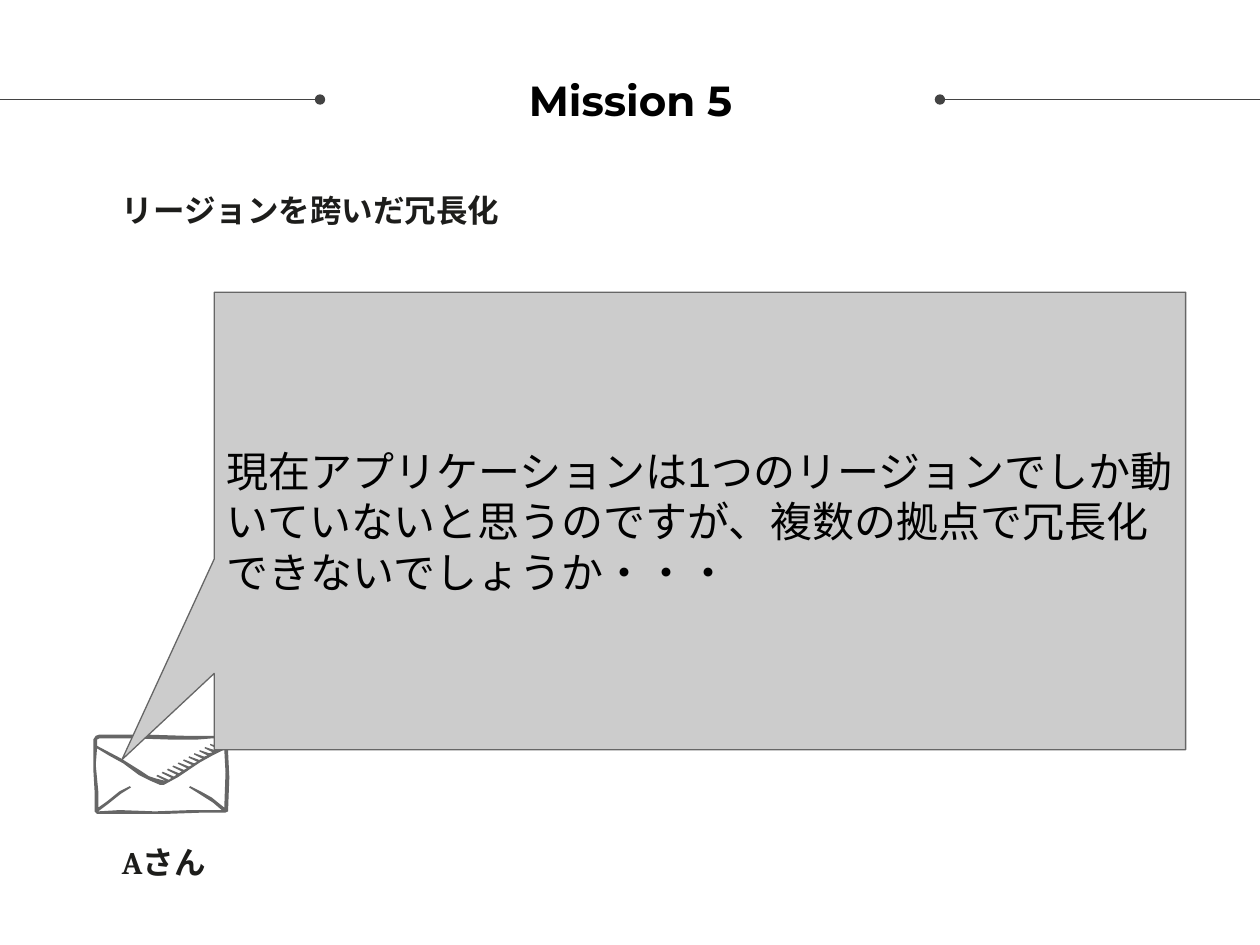
from lxml import etree
from pptx import Presentation
from pptx.dml.color import RGBColor
from pptx.enum.shapes import MSO_CONNECTOR, MSO_SHAPE
from pptx.enum.text import MSO_ANCHOR, PP_ALIGN
from pptx.oxml.ns import qn
from pptx.util import Inches, Pt

STRAIGHT = MSO_CONNECTOR.STRAIGHT
CALLOUT = MSO_SHAPE.ROUNDED_RECTANGULAR_CALLOUT
TOP, MIDDLE = MSO_ANCHOR.TOP, MSO_ANCHOR.MIDDLE
LEFT, CENTER = PP_ALIGN.LEFT, PP_ALIGN.CENTER

BLACK = RGBColor(0x00, 0x00, 0x00)
INK = RGBColor(0x1D, 0x1D, 0x1B)
RULE = RGBColor(0x43, 0x43, 0x43)
GRAY = RGBColor(0x66, 0x66, 0x66)
PALE = RGBColor(0xCC, 0xCC, 0xCC)

# Content
TITLE = "Mission 5"
SUBTITLE = "リージョンを跨いだ冗長化"
REQUEST = ("現在アプリケーションは1つのリージョンでしか動いていないと思うのですが、"
           "複数の拠点で冗長化できないでしょうか・・・")
SENDER = "Aさん"

TITLE_FONT = dict(name="Montserrat", size=Pt(24), bold=True)
LABEL_FONT = dict(name="Cambria", size=Pt(18), bold=True)
REQUEST_FONT = dict(name="Arial", size=Pt(24), bold=False)

TITLE_AT = (2.55, 0.17, 4.91, 1.25)
SUBTITLE_AT = (0.87, 1.42, 8.26, 0.77)
CALLOUT_AT = (1.7, 2.32, 7.71, 3.63)
SENDER_AT = (0.76, 6.59, 1.08, 0.77)
CALLOUT_TAIL = (-0.595, 0.522, 0)
RULE_Y = 0.79
RULES = [(2.54, 0), (7.46, 10)]  # dotted end, page edge

# Envelope contours: outer edge, then the white areas inside it
ENVELOPE_EDGE = [
    (0.79, 5.83), (1.14, 5.83), (1.46, 5.84), (1.79, 5.84), (1.82, 5.86),
    (1.81, 5.96), (1.82, 6.17), (1.81, 6.44), (1.79, 6.45), (1.61, 6.45),
    (1.32, 6.46), (0.97, 6.46), (0.77, 6.46), (0.75, 6.44), (0.75, 6.27),
    (0.74, 6.1), (0.74, 5.87), (0.76, 5.84)]
FLAP = [
    (1.24, 6.18), (1.18, 6.16), (1.12, 6.12), (0.96, 6.02), (0.77, 5.92),
    (0.77, 5.87), (0.79, 5.86), (1.04, 5.86), (1.34, 5.87), (1.57, 5.87),
    (1.69, 5.86), (1.79, 5.87)]
BODY = [
    (0.77, 5.94), (0.87, 6), (0.98, 6.06), (1.1, 6.15), (1.2, 6.2),
    (1.27, 6.23), (1.3, 6.23), (1.41, 6.17), (1.59, 6.05), (1.68, 6),
    (1.78, 5.95), (1.79, 6.13), (1.78, 6.41), (1.68, 6.33), (1.59, 6.28),
    (1.51, 6.24), (1.5, 6.25), (1.58, 6.3), (1.69, 6.37), (1.76, 6.43),
    (1.52, 6.43), (1.23, 6.44), (0.95, 6.43), (0.78, 6.44), (0.86, 6.38),
    (0.96, 6.3), (1.04, 6.25), (1.03, 6.24), (0.95, 6.28), (0.85, 6.36),
    (0.78, 6.41), (0.78, 6.28), (0.76, 6.07)]
HATCH_COUNT = 12
HATCH_STROKE = [  # first and last position of each corner of a stroke
    ((1.78, 5.9), (1.34, 6.19)), ((1.71, 5.88), (1.25, 6.15)),
    ((1.71, 5.89), (1.24, 6.16)), ((1.77, 5.92), (1.32, 6.2))]


def hatch_points():
    """Spread the hatch strokes evenly down the right side of the flap."""
    points = []
    for index in range(HATCH_COUNT):
        share = index / (HATCH_COUNT - 1)
        points += [(x1 + (x2 - x1) * share, y1 + (y2 - y1) * share)
                   for (x1, y1), (x2, y2) in HATCH_STROKE]
    return points


def place(box, at):
    box.left, box.top, box.width, box.height = map(Inches, at)


def write(box, text, font, color, align, anchor):
    frame = box.text_frame
    frame.word_wrap = True
    frame.vertical_anchor = anchor
    for side in ("left", "top", "right", "bottom"):
        setattr(frame, f"margin_{side}", Inches(0.1))
    para = frame.paragraphs[0]
    para.alignment = align
    span = para.add_run()
    span.text = text
    for key, value in font.items():
        setattr(span.font, key, value)
    span.font.color.rgb = color


def add_rule(page, dot_x, edge_x):
    rule = page.shapes.add_connector(
        STRAIGHT, Inches(dot_x), Inches(RULE_Y), Inches(edge_x), Inches(RULE_Y))
    rule.line.color.rgb = RULE
    rule.line.width = Pt(0.75)
    etree.SubElement(rule.line._get_or_add_ln(), qn("a:headEnd"), type="oval")
    etree.SubElement(rule._element.spPr, qn("a:effectLst"))


def add_envelope(page):
    builder = None
    for contour in (ENVELOPE_EDGE, FLAP + hatch_points(), BODY):
        start, *rest = [(Inches(x), Inches(y)) for x, y in contour]
        if builder is None:
            builder = page.shapes.build_freeform(*start)
        else:
            builder.move_to(*start)
        builder.add_line_segments(rest, close=True)
    envelope = builder.convert_to_shape()
    envelope.shadow.inherit = False
    envelope.fill.solid()
    envelope.fill.fore_color.rgb = GRAY
    envelope.line.fill.background()


def add_label(page, at, text, align):
    box = page.shapes.add_textbox(*map(Inches, at))
    write(box, text, LABEL_FONT, INK, align, TOP)


def add_callout(page):
    callout = page.shapes.add_shape(CALLOUT, *map(Inches, CALLOUT_AT))
    for index, value in enumerate(CALLOUT_TAIL):
        callout.adjustments[index] = value
    callout.shadow.inherit = False
    callout.fill.solid()
    callout.fill.fore_color.rgb = PALE
    callout.line.color.rgb = GRAY
    callout.line.width = Pt(0.75)
    write(callout, REQUEST, REQUEST_FONT, BLACK, LEFT, MIDDLE)


def main():
    deck = Presentation()
    deck.slide_width, deck.slide_height = Inches(10), Inches(7.5)
    page = deck.slides.add_slide(deck.slide_layouts[5])

    # Title between two dotted rules
    place(page.shapes.title, TITLE_AT)
    write(page.shapes.title, TITLE, TITLE_FONT, BLACK, CENTER, MIDDLE)
    for dot_x, edge_x in RULES:
        add_rule(page, dot_x, edge_x)

    # Request from the sender
    add_label(page, SUBTITLE_AT, SUBTITLE, LEFT)
    add_envelope(page)
    add_callout(page)
    add_label(page, SENDER_AT, SENDER, CENTER)
    deck.save("out.pptx")


if __name__ == "__main__":
    main()
